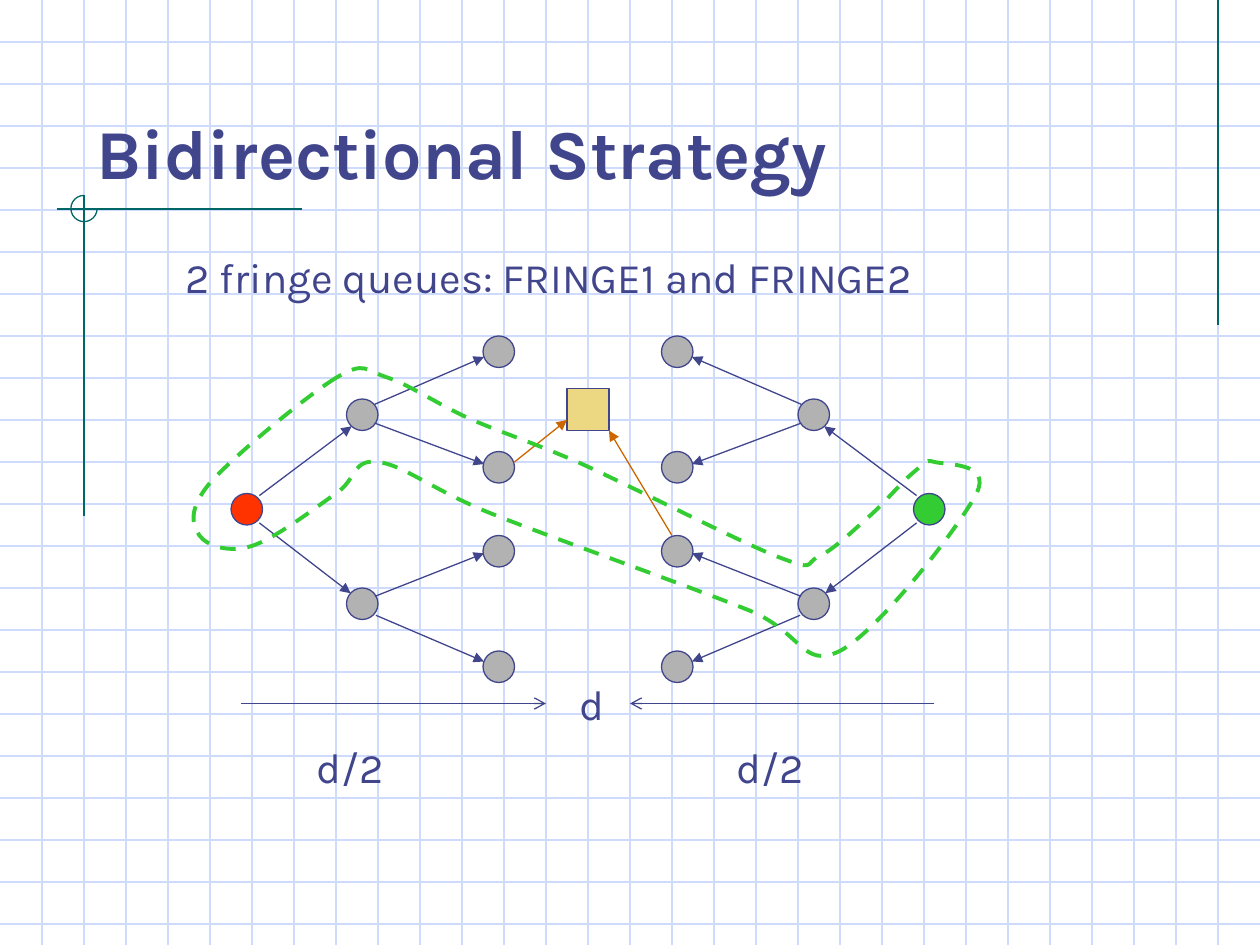
import lxml.etree
import pptx
import pptx.dml.color
import pptx.enum.dml
import pptx.enum.shapes
import pptx.enum.text
import pptx.oxml.ns
import pptx.util

COLS, ROWS, STEP = 120, 90, 4
MIRROR = 112
HUES = {
    "ink": "40458C", "grid": "CFDBFD", "teal": "006666", "grey": "B2B2B2",
    "red": "FF3300", "green": "33CC33", "gold": "ECD882", "rust": "CC6600",
}
NODES = [
    (34.5, 39.5, "grey"), (34.5, 57.5, "grey"),
    (47.5, 33.5, "grey"), (47.5, 44.5, "grey"),
    (47.5, 52.5, "grey"), (47.5, 63.5, "grey"),
]
EDGES = [
    (24.7, 47.2, 33.5, 40.6), (24.7, 49.8, 33.4, 56.5),
    (35.7, 38.5, 46.1, 34), (35.7, 40.3, 46.1, 44.2),
    (35.7, 56.8, 46.1, 52.7), (35.8, 58.6, 46.1, 63),
]
LOOP = [
    (32, 36),
    (29.2, 37.7), (22.2, 43.5), (20, 46), (17.9, 48.5), (18.3, 50), (19, 51),
    (19.7, 52), (21.8, 52.7), (24, 52), (26.2, 51.3), (30, 48.4), (32, 47),
    (34, 45.7), (33.5, 43.7), (36, 44), (38.5, 44.3), (41.2, 46.7), (47, 49),
    (52.8, 51.3), (65.5, 55.8), (71, 58), (76.5, 60.1), (76.3, 63.8), (80, 62),
    (83.7, 60.1), (91.5, 50), (93, 47), (94.5, 44), (90, 44.3), (89, 44),
    (88, 43.7), (88, 44.2), (87, 45), (86, 45.8), (84.5, 47.6), (83, 49),
    (81.5, 50.3), (79.5, 52.3), (78, 53), (76.5, 53.7), (77.9, 54.5), (74, 53),
    (70.2, 51.5), (59.9, 46.2), (55, 44), (50.1, 41.9), (48, 41.3), (45, 40),
    (42, 38.7), (39.1, 36.7), (37, 36), (34.8, 35.3), (34.8, 34.3), (32, 36),
]


class Board:
    """Draws styled elements on one slide, in twelfths of an inch."""

    def __init__(self, deck):
        self.font = "Karla"
        self.unit = deck.slide_width / COLS
        self.slide = deck.slides.add_slide(deck.slide_layouts[5])
        self.shapes = self.slide.shapes

    def size(self, *vals):
        return [pptx.util.Emu(round(v * self.unit)) for v in vals]

    def hue(self, name):
        return pptx.dml.color.RGBColor.from_string(HUES[name])

    def pen(self, item, hue, width=0.75):
        item.line.color.rgb = self.hue(hue)
        item.line.width = pptx.util.Pt(width)

    def line(self, x1, y1, x2, y2, hue="ink", tip=None):
        kind = pptx.enum.shapes.MSO_CONNECTOR.STRAIGHT
        item = self.shapes.add_connector(kind, *self.size(x1, y1, x2, y2))
        self.pen(item, hue)
        props = item._element.spPr
        if tip:
            edge = props.find(pptx.oxml.ns.qn("a:ln"))
            tail = pptx.oxml.ns.qn("a:tailEnd")
            lxml.etree.SubElement(edge, tail, type=tip)
        lxml.etree.SubElement(props, pptx.oxml.ns.qn("a:effectLst"))

    def shape(self, kind, x, y, side, fill=None, edge="ink"):
        box = self.size(x - side / 2, y - side / 2, side, side)
        item = self.shapes.add_shape(kind, *box)
        item.shadow.inherit = False
        self.pen(item, edge)
        if fill:
            item.fill.solid()
            item.fill.fore_color.rgb = self.hue(fill)
        else:
            item.fill.background()
        return item

    def curve(self, points, hue):
        spots = [self.size(*p) for p in points]
        pen = self.shapes.build_freeform(*spots[0], scale=1.0)
        pen.add_line_segments(spots[1:], close=True)
        item = pen.convert_to_shape()
        item.shadow.inherit = False
        item.fill.background()
        self.pen(item, hue, 2.25)
        item.line.dash_style = pptx.enum.dml.MSO_LINE.DASH
        steps = list(item._element.iter(pptx.oxml.ns.qn("a:lnTo")))
        for i in range(0, len(steps), 3):
            bend = lxml.etree.Element(pptx.oxml.ns.qn("a:cubicBezTo"))
            steps[i].addprevious(bend)
            for step in steps[i:i + 3]:
                bend.append(step[0])
                step.getparent().remove(step)

    def words(self, item, text, size, bold=False):
        item.text_frame.text = text
        para = item.text_frame.paragraphs[0]
        para.alignment = pptx.enum.text.PP_ALIGN.LEFT
        font = para.runs[0].font
        font.name, font.size, font.bold = self.font, pptx.util.Pt(size), bold
        font.color.rgb = self.hue("ink")

    def title(self, text, *box):
        item = self.shapes.title
        item.left, item.top, item.width, item.height = self.size(*box)
        self.words(item, text, 40, True)
        item.text_frame.vertical_anchor = pptx.enum.text.MSO_ANCHOR.BOTTOM
        self.shapes.element.append(item._element)

    def label(self, text, *box, wrap=True):
        item = self.shapes.add_textbox(*self.size(*box))
        item.text_frame.word_wrap = wrap
        self.words(item, text, 24)

    def tree(self, root, flip=False):
        def turn(x):
            return MIRROR - x if flip else x

        oval = pptx.enum.shapes.MSO_SHAPE.OVAL
        for x, y, fill in NODES:
            self.shape(oval, turn(x), y, 3, fill)
        for x1, y1, x2, y2 in EDGES:
            self.line(turn(x1), y1, turn(x2), y2, tip="triangle")
        self.shape(oval, turn(23.5), 48.5, 3, root)
        self.line(turn(23), 67, turn(52), 67, tip="arrow")


def main():
    deck = pptx.Presentation()
    deck.slide_width = pptx.util.Inches(10)
    deck.slide_height = pptx.util.Inches(7.5)
    board = Board(deck)
    kinds = pptx.enum.shapes.MSO_SHAPE
    for y in range(STEP, ROWS, STEP):
        board.line(0, y, COLS, y, "grid")
    for x in range(STEP, COLS, STEP):
        board.line(x, 0, x, ROWS, "grid")
    board.line(116, 0, 116, 31, "teal")
    board.line(28.8, 19.9, 5.4, 19.9, "teal")
    board.line(8, 18.6, 8, 49.1, "teal")
    arc = board.shape(kinds.ARC, 8, 19.86, 2.5, edge="teal")
    arc.adjustments[0], arc.adjustments[1] = 0, 162
    board.title("Bidirectional Strategy", 8, 4, 102, 15)
    board.tree("green", flip=True)
    board.tree("red")
    board.label("2 fringe queues: FRINGE1 and FRINGE2", 16.5, 23.4, 76, 6, wrap=False)
    board.shape(kinds.RECTANGLE, 56, 39, 4, "gold")
    board.line(49, 44, 54, 40, "rust", "triangle")
    board.line(64, 51, 58, 41, "rust", "triangle")
    board.curve(LOOP, "green")
    board.label("d", 54, 64, 5, 6)
    for x in (29, 69):
        board.label("d/2", x, 70, 11, 6)
    deck.save("out.pptx")


if __name__ == "__main__":
    main()
